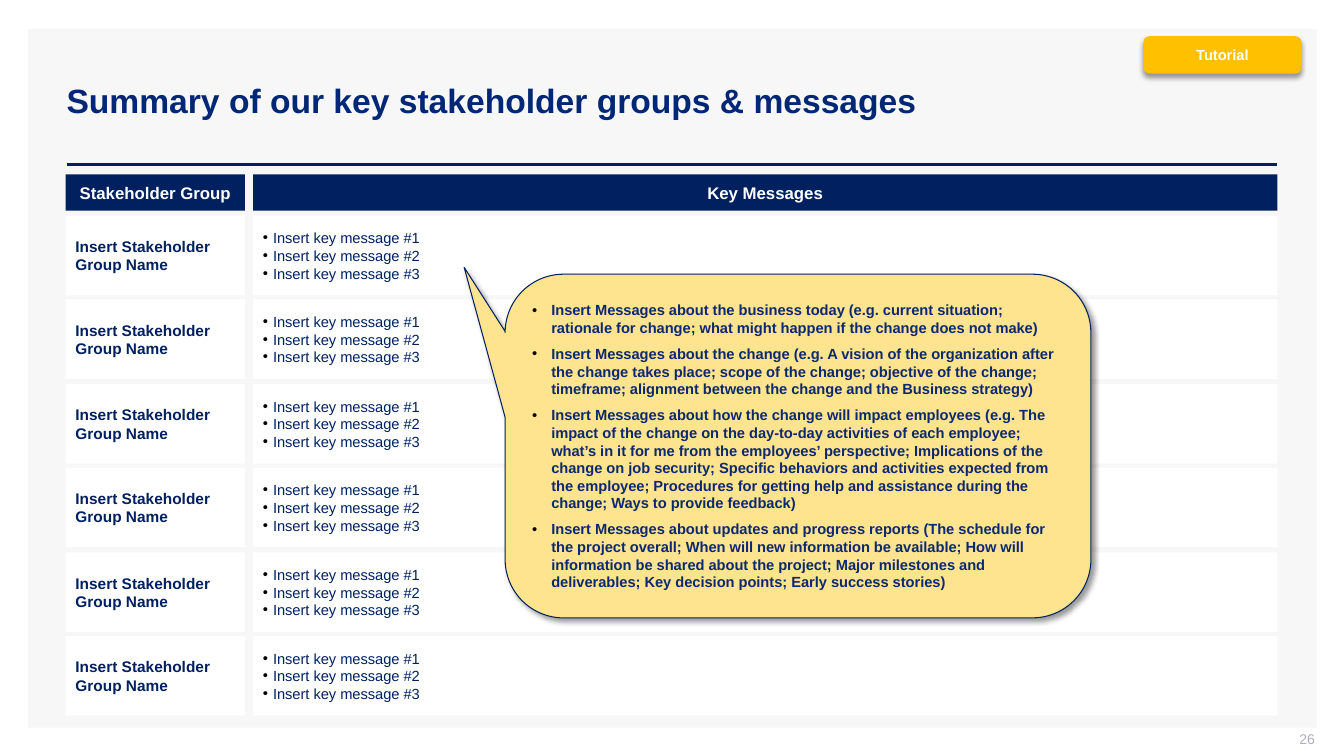
from lxml import etree
from pptx import Presentation
from pptx.dml.color import RGBColor
from pptx.enum.shapes import MSO_CONNECTOR as Connector, MSO_SHAPE as Shape
from pptx.enum.text import MSO_ANCHOR as Anchor, PP_ALIGN as Align
from pptx.oxml.ns import qn
from pptx.util import Pt

PX = 9144
NAVY = "002060"
WHITE = "FFFFFF"
GROUP_LEFT, GROUP_WIDTH = 65, 178
MESSAGES_LEFT, MESSAGES_WIDTH = 251, 1016
HEADER_TOP, HEADER_HEIGHT = 173, 36
ROWS_TOP, ROW_HEIGHT, ROW_STEP, ROW_COUNT = 214, 79, 83.4, 6

HEADER = {"size": 12, "color": WHITE, "bold": True}
GROUP = {"size": 11, "color": NAVY, "bold": True}
MESSAGE = {"size": 10.5, "color": NAVY, "bold": False}
GUIDANCE = {"size": 10.5, "color": "0C2870", "bold": True}
TAG = {"size": 10.5, "color": WHITE, "bold": True}
TITLE = {"size": 24, "color": "002776", "bold": True}
PAGE_NUMBER = {"size": 10, "color": "ADAFBB", "bold": False}

KEY_MESSAGES = [f"Insert key message #{number}" for number in range(1, 4)]
GUIDANCE_POINTS = [
    "Insert Messages about the business today (e.g. current situation; rationale for "
    "change; what might happen if the change does not make)",
    "Insert Messages about the change (e.g. A vision of the organization after the change "
    "takes place; scope of the change; objective of the change; timeframe; alignment "
    "between the change and the Business strategy)",
    "Insert Messages about how the change will impact employees (e.g. The impact of the "
    "change on the day-to-day activities of each employee; what’s in it for me from the "
    "employees’ perspective; Implications of the change on job security; Specific behaviors "
    "and activities expected from the employee; Procedures for getting help and assistance "
    "during the change; Ways to provide feedback)",
    "Insert Messages about updates and progress reports (The schedule for the project "
    "overall; When will new information be available; How will information be shared about "
    "the project; Major milestones and deliverables; Key decision points; Early success "
    "stories)",
]


def px(*lengths):
    return [round(length * PX) for length in lengths]


def rgb(value):
    return RGBColor.from_string(value)


def add_bullet(paragraph, indent):
    properties = paragraph._p.get_or_add_pPr()
    margin, = px(indent)
    properties.set("marL", str(margin))
    properties.set("indent", str(-margin))
    color = etree.SubElement(properties, qn("a:buClr"))
    etree.SubElement(color, qn("a:srgbClr"), val="000000")
    etree.SubElement(properties, qn("a:buFont"), typeface="Arial")
    etree.SubElement(properties, qn("a:buChar"), char="•")


def write_text(shape, lines, style, align=Align.LEFT, insets=(10, 5, 10, 5), indent=0, gap=0):
    frame = shape.text_frame
    left, top, right, bottom = px(*insets)
    frame_format = {
        "word_wrap": True, "vertical_anchor": Anchor.MIDDLE, "margin_left": left,
        "margin_top": top, "margin_right": right, "margin_bottom": bottom,
    }
    for name, value in frame_format.items():
        setattr(frame, name, value)
    for index, line in enumerate(lines):
        paragraph = frame.paragraphs[0] if index == 0 else frame.add_paragraph()
        if indent:
            add_bullet(paragraph, indent)
        paragraph.alignment = align
        paragraph.space_before = Pt(gap if index else 0)
        run = paragraph.add_run()
        run.text = line
        font_format = {"name": "Arial", "size": Pt(style["size"]), "bold": style["bold"]}
        for name, value in font_format.items():
            setattr(run.font, name, value)
        run.font.color.rgb = rgb(style["color"])


def add_box(slide, kind, box, fill, line=None):
    shape = slide.shapes.add_shape(kind, *px(*box))
    shape.shadow.inherit = False
    shape.fill.solid()
    shape.fill.fore_color.rgb = rgb(fill)
    if line:
        shape.line.color.rgb = rgb(line)
        shape.line.width = Pt(0.75)
    else:
        shape.line.fill.background()
    return shape


def add_shadow(shape, angle):
    effects = shape._element.spPr.find(qn("a:effectLst"))
    shadow = etree.SubElement(
        effects, qn("a:outerShdw"), blurRad=str(Pt(4)), dist=str(Pt(3)),
        dir=str(angle * 60000), algn="tl", rotWithShape="0")
    color = etree.SubElement(shadow, qn("a:srgbClr"), val="000000")
    etree.SubElement(color, qn("a:alpha"), val="40000")


def add_rule(slide, left, right, top):
    rule = slide.shapes.add_connector(Connector.STRAIGHT, *px(left, top, right, top))
    rule.line.color.rgb = rgb(NAVY)
    rule.line.width = Pt(2)
    etree.SubElement(rule._element.spPr, qn("a:effectLst"))


def add_title(slide, text):
    title = slide.shapes.title
    slide.shapes._spTree.append(title._element)
    title.left, title.top, title.width, title.height = px(56, 40, 1211, 119)
    write_text(title, [text], TITLE)


def add_header(slide, left, width, text):
    box = add_box(slide, Shape.RECTANGLE, (left, HEADER_TOP, width, HEADER_HEIGHT), NAVY)
    write_text(box, [text], HEADER, Align.CENTER, (2, 2, 2, 2))


def add_row(slide, top):
    messages = add_box(
        slide, Shape.RECTANGLE, (MESSAGES_LEFT, top, MESSAGES_WIDTH, ROW_HEIGHT), WHITE)
    write_text(messages, KEY_MESSAGES, MESSAGE, indent=10)
    group = add_box(slide, Shape.RECTANGLE, (GROUP_LEFT, top, GROUP_WIDTH, ROW_HEIGHT), WHITE)
    write_text(group, ["Insert Stakeholder Group Name"], GROUP)


def add_callout(slide):
    callout = add_box(
        slide, Shape.ROUNDED_RECTANGULAR_CALLOUT, (501, 272, 581, 341), "FFE48F", NAVY)
    for index, value in enumerate((-0.57, -0.52, 0.17)):
        callout.adjustments[index] = value
    add_shadow(callout, 45)
    write_text(callout, GUIDANCE_POINTS, GUIDANCE, indent=19, gap=6)


def add_tag(slide):
    tag = add_box(slide, Shape.ROUNDED_RECTANGLE, (1134, 36, 157, 37), "FFC000")
    add_shadow(tag, 90)
    write_text(tag, ["Tutorial"], TAG, Align.CENTER)


def add_page_number(slide):
    number = slide.shapes.add_textbox(*px(1004, 725, 300, 21))
    write_text(number, ["26"], PAGE_NUMBER, Align.RIGHT, (10, 0, 0, 5))


def main():
    presentation = Presentation()
    presentation.slide_width, presentation.slide_height = px(1333, 750)
    slide = presentation.slides.add_slide(presentation.slide_layouts[5])
    add_box(slide, Shape.RECTANGLE, (28, 29, 1278, 693), "F7F7F7")
    add_rule(slide, 66, 1267, 163)
    add_title(slide, "Summary of our key stakeholder groups & messages")
    add_page_number(slide)
    add_header(slide, MESSAGES_LEFT, MESSAGES_WIDTH, "Key Messages")
    add_header(slide, GROUP_LEFT, GROUP_WIDTH, "Stakeholder Group")
    for row in range(ROW_COUNT):
        add_row(slide, ROWS_TOP + round(row * ROW_STEP))
    add_callout(slide)
    add_tag(slide)
    presentation.save("out.pptx")


if __name__ == "__main__":
    main()
